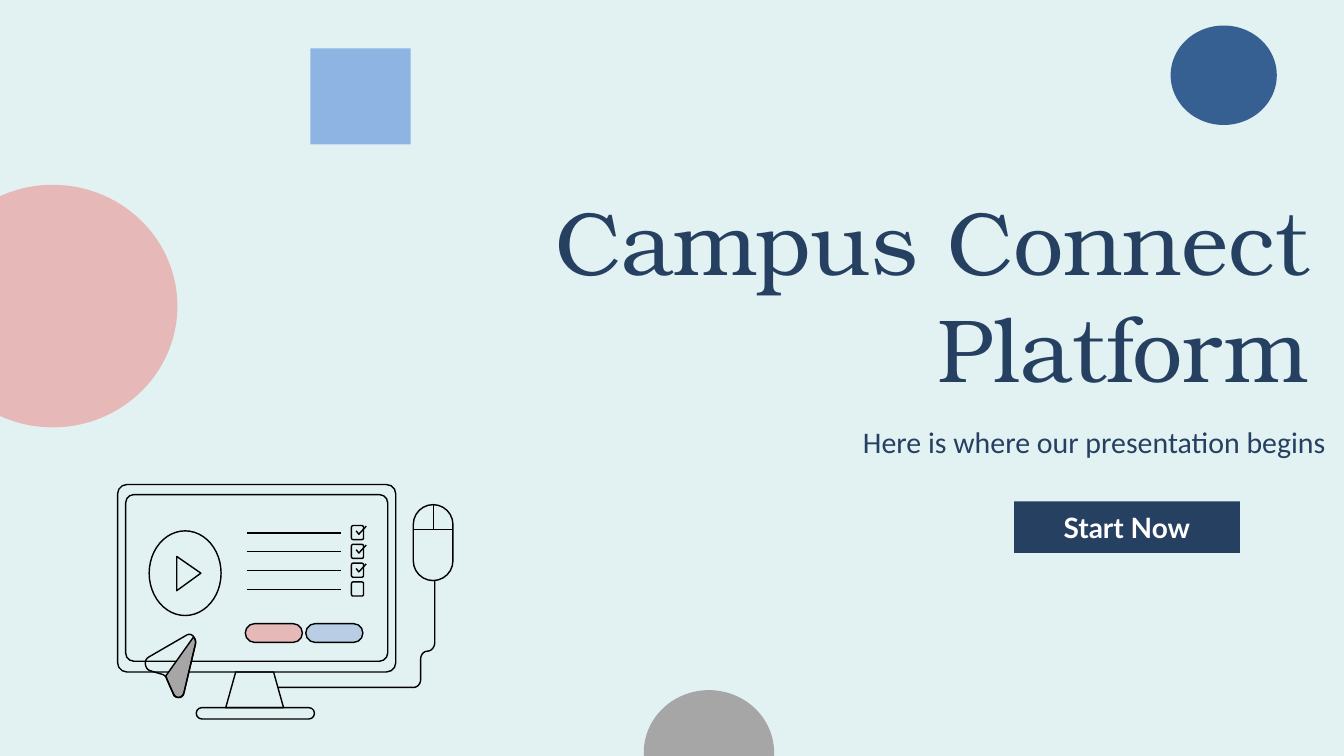
from lxml.etree import SubElement
from pptx import Presentation
from pptx.dml.color import RGBColor
from pptx.enum.shapes import MSO_CONNECTOR, MSO_SHAPE as Preset
from pptx.enum.text import MSO_ANCHOR as Anchor, MSO_AUTO_SIZE as AutoSize, PP_ALIGN as Align
from pptx.oxml.ns import qn
from pptx.util import Inches, Pt

COLORS = {
    "background": "E2F2F3", "navy": "254061", "blue": "376092",
    "sky": "8EB4E3", "pale": "B9CDE5", "pink": "E6B9B8",
    "gray": "A6A6A6", "ink": "000000", "white": "FFFFFF",
}
CURVE_STEPS = 8
STROKE = Pt(1.5)


def rgb(name):
    return RGBColor.from_string(COLORS[name])


def paint(shape, fill=None, outline=None):
    shape.shadow.inherit = False
    if fill:
        shape.fill.solid()
        shape.fill.fore_color.rgb = rgb(fill)
    else:
        shape.fill.background()
    if outline:
        shape.line.color.rgb = rgb(outline)
        shape.line.width = STROKE
    else:
        shape.line.fill.background()


def add_preset(shapes, kind, box, fill=None, outline=None, corner=None):
    shape = shapes.add_shape(kind, *map(Inches, box))
    if corner is not None:
        shape.adjustments[0] = corner
    paint(shape, fill, outline)
    return shape


def add_rule(shapes, x1, y1, x2, y2):
    rule = shapes.add_connector(MSO_CONNECTOR.STRAIGHT, *map(Inches, (x1, y1, x2, y2)))
    rule.line.color.rgb = rgb("ink")
    rule.line.width = STROKE
    SubElement(rule._element.spPr, qn("a:effectLst"))


def bezier(start, curve):
    points = (start, curve[:2], curve[2:4], curve[4:])
    for step in range(1, CURVE_STEPS + 1):
        t = step / CURVE_STEPS
        weights = ((1 - t) ** 3, 3 * t * (1 - t) ** 2, 3 * t * t * (1 - t), t ** 3)
        yield tuple(sum(w * p[axis] for w, p in zip(weights, points)) for axis in (0, 1))


def add_outline(shapes, segments, close=False, fill=None):
    points = [segments[0]]
    for segment in segments[1:]:
        points.extend([segment] if len(segment) == 2 else bezier(points[-1], segment))
    start, *rest = [(Inches(x), Inches(y)) for x, y in points]
    builder = shapes.build_freeform(*start)
    builder.add_line_segments(rest, close=close)
    paint(builder.convert_to_shape(), fill, "ink")


def write(shape, text, size, font, color, align, anchor, bold=False):
    frame = shape.text_frame
    frame.word_wrap = True
    frame.auto_size = AutoSize.NONE
    frame.vertical_anchor = anchor
    frame.margin_left = frame.margin_right = Inches(0.1)
    frame.margin_top = frame.margin_bottom = Inches(0.1)
    frame.text = text
    paragraph = frame.paragraphs[0]
    paragraph.alignment = align
    paragraph.font.size = Pt(size)
    paragraph.font.name = font
    paragraph.font.bold = bold
    paragraph.font.color.rgb = rgb(color)


def add_checklist(shapes):
    for row in range(4):
        offset = 0.28 * row
        add_preset(shapes, Preset.ROUNDED_RECTANGLE, (5.23, 7.82 + offset, 0.18, 0.21),
                   outline="ink", corner=0.14)
        add_rule(shapes, 3.67, 7.93 + offset, 5.08, 7.93 + offset)
        if row < 3:
            add_outline(shapes, [(5.3, 7.9 + offset), (5.34, 7.95 + offset), (5.45, 7.83 + offset)])


def add_paper_plane(shapes):
    add_outline(shapes, [
        (2.88, 9.48), (2.9, 9.5, 2.92, 9.54, 2.91, 9.58), (2.74, 10.3),
        (2.73, 10.36, 2.7, 10.38, 2.66, 10.38), (2.63, 10.38, 2.59, 10.37, 2.58, 10.33),
        (2.48, 10.1), (2.48, 10.09, 2.47, 10.07, 2.46, 10.07),
    ], close=True, fill="gray")
    add_outline(shapes, [
        (2.21, 9.78), (2.78, 9.45), (2.85, 9.41, 2.92, 9.49, 2.91, 9.58), (2.74, 10.3),
        (2.72, 10.39, 2.62, 10.41, 2.58, 10.32), (2.48, 10.1),
        (2.48, 10.08, 2.47, 10.07, 2.46, 10.06), (2.45, 10.05, 2.44, 10.05, 2.43, 10.04),
        (2.23, 9.98), (2.15, 9.95, 2.14, 9.82, 2.21, 9.78),
    ], close=True)


def add_mouse(shapes):
    add_preset(shapes, Preset.ROUNDED_RECTANGLE, (6.15, 7.51, 0.59, 1.13),
               outline="ink", corner=0.5)
    add_rule(shapes, 6.15, 7.88, 6.74, 7.88)
    add_rule(shapes, 6.45, 7.51, 6.45, 7.88)
    add_outline(shapes, [
        (6.47, 8.64), (6.47, 9.56), (6.47, 9.63, 6.42, 9.69, 6.36, 9.69),
        (6.3, 9.69, 6.26, 9.75, 6.26, 9.81), (6.26, 10.11),
        (6.26, 10.18, 6.21, 10.23, 6.15, 10.23), (4.14, 10.23),
    ])


def add_computer(slide):
    shapes = slide.shapes.add_group_shape().shapes
    add_preset(shapes, Preset.TRAPEZOID, (3.36, 10, 0.86, 0.53), outline="ink", corner=0.28)
    for bezel in ((1.87, 7.36, 3.9, 2.48), (1.75, 7.21, 4.14, 2.79)):
        add_preset(shapes, Preset.ROUNDED_RECTANGLE, bezel, outline="ink", corner=0.05)
    add_checklist(shapes)
    add_paper_plane(shapes)
    add_preset(shapes, Preset.OVAL, (2.22, 7.9, 1.07, 1.26), outline="ink")
    add_outline(shapes, [(2.99, 8.53), (2.63, 8.28), (2.63, 8.79)], close=True)
    for left, fill in ((4.55, "pale"), (3.65, "pink")):
        add_preset(shapes, Preset.ROUNDED_RECTANGLE, (left, 9.28, 0.85, 0.28),
                   fill, "ink", corner=0.5)
    add_mouse(shapes)
    add_preset(shapes, Preset.ROUNDED_RECTANGLE, (2.92, 10.53, 1.76, 0.17),
               outline="ink", corner=0.5)


def add_decorations(slide):
    for kind, box, fill in (
        (Preset.OVAL, (-1.07, 2.75, 3.71, 3.61), "pink"),
        (Preset.RECTANGLE, (4.62, 0.72, 1.49, 1.43), "sky"),
        (Preset.OVAL, (17.42, 0.38, 1.58, 1.48), "blue"),
        (Preset.OVAL, (9.58, 10.27, 1.94, 1.86), "gray"),
    ):
        add_preset(slide.shapes, kind, box, fill)


def add_wording(slide):
    title = slide.shapes.title
    title.left, title.top, title.width, title.height = map(Inches, (5.07, 0.23, 14.51, 5.83))
    write(title, "Campus Connect\vPlatform", 96, "TeX Gyre Bonum", "navy",
          Align.RIGHT, Anchor.BOTTOM)
    start_button = add_preset(slide.shapes, Preset.RECTANGLE, (15.09, 7.46, 3.36, 0.77), "navy")
    write(start_button, "Start Now", 30, "Lato", "white", Align.CENTER, Anchor.MIDDLE, bold=True)
    subtitle = slide.shapes.add_textbox(*map(Inches, (11.08, 6.34, 8.75, 0.47)))
    write(subtitle, "Here is where our presentation begins", 32, "Calibri", "navy",
          Align.RIGHT, Anchor.MIDDLE)


def main():
    deck = Presentation()
    deck.slide_width, deck.slide_height = Inches(20), Inches(11.25)
    slide = deck.slides.add_slide(deck.slide_layouts[5])
    slide.background.fill.solid()
    slide.background.fill.fore_color.rgb = rgb("background")
    add_computer(slide)
    add_decorations(slide)
    add_wording(slide)
    deck.save("out.pptx")


if __name__ == "__main__":
    main()
